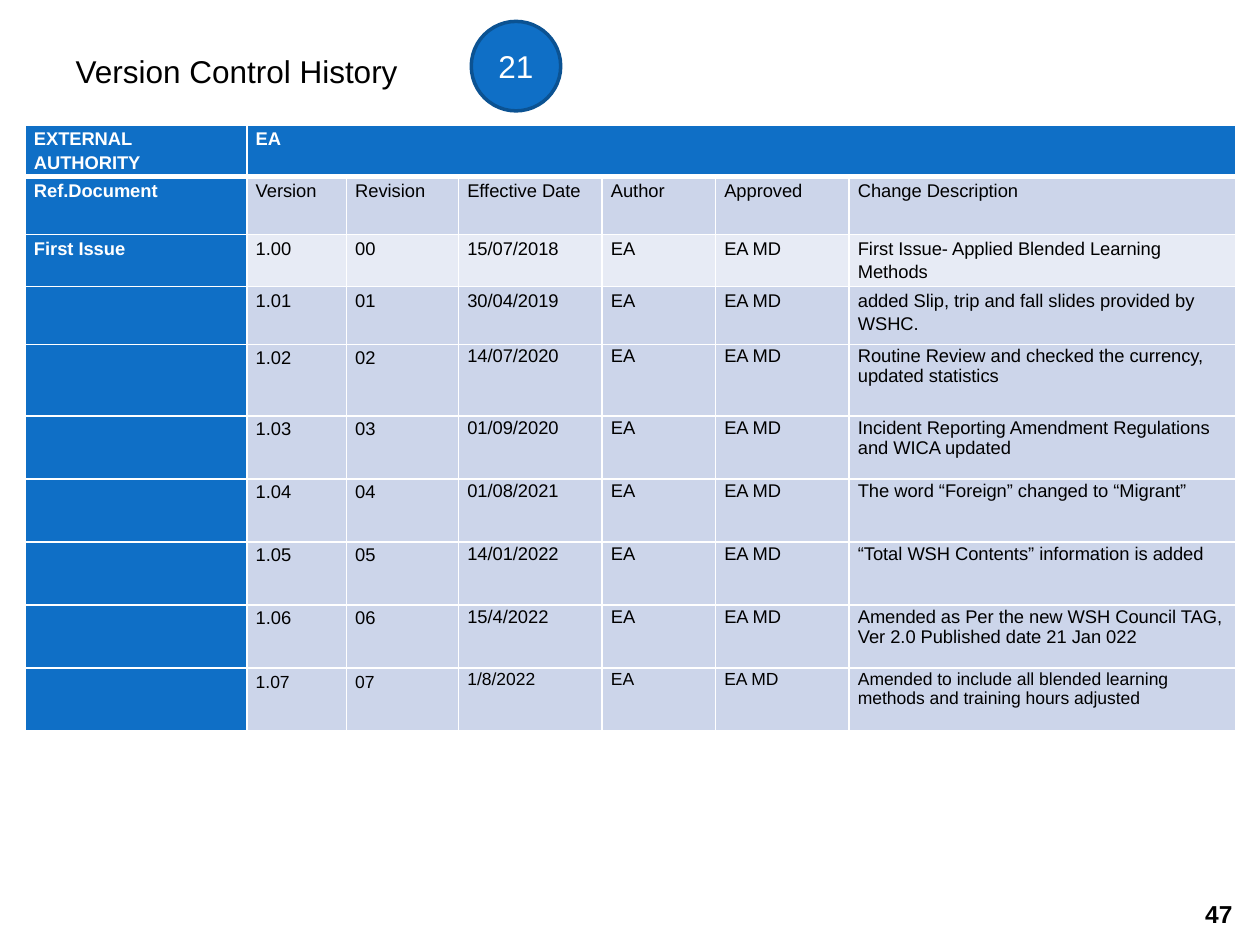
from pptx import Presentation
from pptx.dml.color import RGBColor
from pptx.enum.shapes import MSO_SHAPE
from pptx.enum.text import MSO_ANCHOR, PP_ALIGN
from pptx.oxml import parse_xml
from pptx.oxml.ns import nsdecls
from pptx.util import Inches, Pt

OVAL = MSO_SHAPE.OVAL
TOP, MIDDLE = MSO_ANCHOR.TOP, MSO_ANCHOR.MIDDLE
LEFT, CENTER, RIGHT = PP_ALIGN.LEFT, PP_ALIGN.CENTER, PP_ALIGN.RIGHT

# Content
TITLE, BADGE, PAGE = "Version Control History", "21", "47"
HEAD = ("EXTERNAL AUTHORITY", "EA")
LABELS = ("Ref.Document", "Version", "Revision", "Effective Date",
          "Author", "Approved", "Change Description")
ISSUES = [  # date, change; version and revision count up from zero
    ("15/07/2018", "First Issue- Applied Blended Learning Methods"),
    ("30/04/2019", "added Slip, trip and fall slides provided by WSHC."),
    ("14/07/2020", "Routine Review and checked the currency, updated statistics"),
    ("01/09/2020", "Incident Reporting Amendment Regulations and WICA updated"),
    ("01/08/2021", "The word “Foreign” changed to “Migrant”"),
    ("14/01/2022", "“Total WSH Contents” information is added"),
    ("15/4/2022", "Amended as Per the new WSH Council TAG, Ver 2.0 Published date 21 Jan 022"),
    ("1/8/2022", "Amended to include all blended learning methods and training hours adjusted"),
]
WIDTHS = (1.76, 0.79, 0.89, 1.14, 0.9, 1.06, 3.07)
HEIGHTS = (0.4, 0.46, 0.39, 0.46, 0.57) + (0.5,) * 5

THEME = {
    "font": "Arial", "blue": "0F6FC6", "edge": "0B5292", "band": "CCD5EA",
    "pale": "E7EBF5", "white": "FFFFFF", "black": "000000",
    "title": 18, "page": 14, "cell": 10.5, "last": 10,
}


def color(name):
    return RGBColor.from_string(THEME[name])


def write(frame, text, size, tint="black", bold=False, align=LEFT):
    para = frame.paragraphs[0]
    para.alignment = align
    run = para.add_run()
    run.text = text
    font = run.font
    font.name, font.size, font.bold = THEME["font"], Pt(THEME[size]), bold
    font.color.rgb = color(tint)
    return para


def border(cell, row):
    # The rule under the header row is heavier than the rest
    heavy = {"T": row == 1, "B": row == 0}
    props = cell._tc.get_or_add_tcPr()
    for spot, side in enumerate("LRTB"):
        width = Pt(3 if heavy.get(side) else 1)
        props.insert(spot, parse_xml(
            f'<a:ln{side} {nsdecls("a")} w="{width}"><a:solidFill>'
            f'<a:srgbClr val="{THEME["white"]}"/></a:solidFill></a:ln{side}>'))


def fill_cell(cell, text, row, col):
    blue = row == 0 or col == 0
    early = row < 4
    cell.margin_left = cell.margin_right = Inches(0.07)
    cell.margin_top = Inches(0 if 4 <= row < 9 and col in (1, 2) else 0.01)
    cell.margin_bottom = 0
    cell.vertical_anchor = TOP
    cell.fill.solid()
    cell.fill.fore_color.rgb = color("blue" if blue else "pale" if row == 2 else "band")
    border(cell, row)
    if text:
        para = write(cell.text_frame, text, "last" if row == 9 else "cell",
                     "white" if blue else "black", blue)
        para.line_spacing = 1.15 if early or col in (1, 2) else 1.0
        para.space_after = Pt(10 if early else 0)


def add_history(slide):
    rows = [HEAD + ("",) * 5, LABELS]
    for num, (date, change) in enumerate(ISSUES):
        rows.append(("" if num else "First Issue", f"1.{num:02}", f"{num:02}",
                     date, "EA", "EA MD", change))
    table = slide.shapes.add_table(
        len(rows), len(WIDTHS), Inches(0.2), Inches(0.99),
        Inches(sum(WIDTHS)), Inches(sum(HEIGHTS))).table
    for col, width in zip(table.columns, WIDTHS):
        col.width = Inches(width)
    for line, height in zip(table.rows, HEIGHTS):
        line.height = Inches(height)
    for row, texts in enumerate(rows):
        for col, text in enumerate(texts):
            fill_cell(table.cell(row, col), text, row, col)
    table.cell(0, 1).merge(table.cell(0, 6))


def main():
    deck = Presentation()
    deck.slide_width, deck.slide_height = Inches(10), Inches(7.5)
    slide = deck.slides.add_slide(deck.slide_layouts[5])

    # Title
    title = slide.shapes.title
    title.left, title.top = Inches(0.5), Inches(0.36)
    title.width, title.height = Inches(2.85), Inches(0.4)
    title.text_frame.word_wrap = False
    title.text_frame.vertical_anchor = TOP
    write(title.text_frame, TITLE, "title")

    # Page number
    page = slide.shapes.add_textbox(Inches(8.15), Inches(7.05), Inches(1.73), Inches(0.4))
    page.text_frame.word_wrap = True
    page.text_frame.vertical_anchor = MIDDLE
    write(page.text_frame, PAGE, "page", bold=True, align=RIGHT)

    add_history(slide)

    # Round badge
    badge = slide.shapes.add_shape(OVAL, Inches(3.74), Inches(0.17), Inches(0.71), Inches(0.71))
    badge.shadow.inherit = False
    badge.fill.solid()
    badge.fill.fore_color.rgb = color("blue")
    badge.line.color.rgb = color("edge")
    badge.line.width = Pt(2)
    badge.text_frame.vertical_anchor = MIDDLE
    write(badge.text_frame, BADGE, "title", "white", align=CENTER)

    deck.save("out.pptx")


if __name__ == "__main__":
    main()
